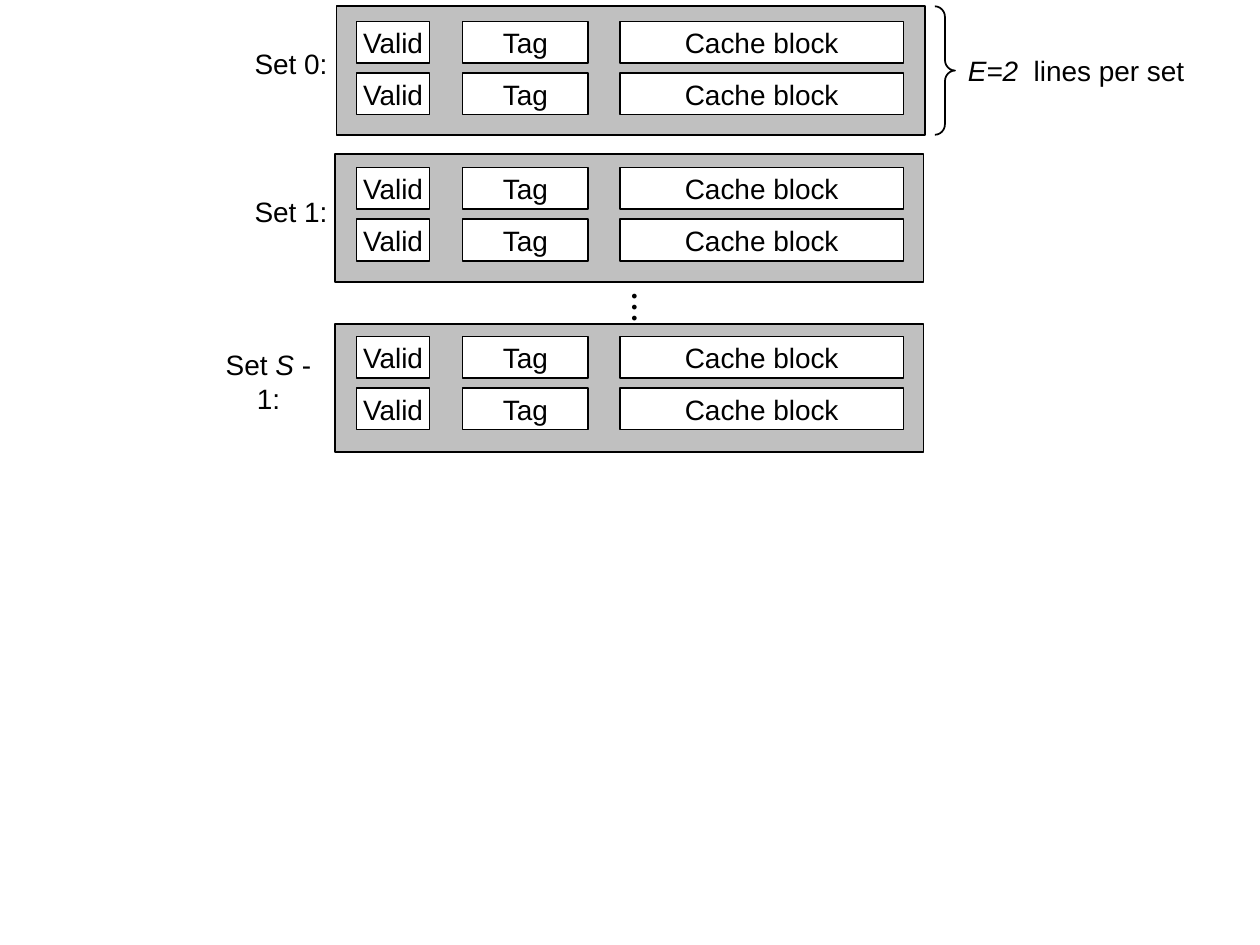
import pptx
import pptx.dml.color
import pptx.enum.shapes
import pptx.enum.text
import pptx.util

Inches = pptx.util.Inches
SHAPES = pptx.enum.shapes.MSO_SHAPE
BLACK = "000000"
WHITE = "FFFFFF"
GRAY = "C0C0C0"

SET_HEIGHT = 1.02
FIELD_HEIGHT = 0.33
LINE_PITCH = 0.41
LINES_PER_SET = 2
# Text, left and width of each field of a cache line
FIELDS = [("Valid", 2.83, 0.58), ("Tag", 3.67, 1), ("Cache block", 4.92, 2.25)]
# Left and top of the set, top of its first line, left and width of its label, label runs
SETS = [
    (2.67, 0.05, 0.17, 1.92, 0.78, [("Set 0:", False)]),
    (2.66, 1.22, 1.33, 1.92, 0.78, [("Set 1:", False)]),
    (2.66, 2.57, 2.67, 1.57, 1.12, [("Set ", False), ("S ", True), ("- 1:", False)]),
]


def color(value):
    return pptx.dml.color.RGBColor.from_string(value)


def write_text(shape, runs, size=16):
    """Centre the runs, given as (text, italic) pairs, in the shape."""
    frame = shape.text_frame
    frame.word_wrap = False
    frame.vertical_anchor = pptx.enum.text.MSO_ANCHOR.MIDDLE
    paragraph = frame.paragraphs[0]
    paragraph.alignment = pptx.enum.text.PP_ALIGN.CENTER
    for text, italic in runs:
        run = paragraph.add_run()
        run.text = text
        run.font.name = "Arial"
        run.font.size = pptx.util.Pt(size)
        run.font.italic = italic
        run.font.color.rgb = color(BLACK)


def add_outlined_shape(slide, kind, left, top, width, height, fill=None):
    shape = slide.shapes.add_shape(
        kind, Inches(left), Inches(top), Inches(width), Inches(height))
    shape.shadow.inherit = False
    if fill:
        shape.fill.solid()
        shape.fill.fore_color.rgb = color(fill)
    else:
        shape.fill.background()
    shape.line.color.rgb = color(BLACK)
    shape.line.width = pptx.util.Pt(1)
    return shape


def add_label(slide, left, top, width, runs):
    label = slide.shapes.add_textbox(
        Inches(left), Inches(top), Inches(width), Inches(0.37))
    write_text(label, runs)


def add_cache_set(slide, left, top, line_top, label_left, label_width, label_runs):
    add_outlined_shape(slide, SHAPES.RECTANGLE, left, top, 4.67, SET_HEIGHT, GRAY)
    add_label(slide, label_left, top + 0.27, label_width, label_runs)
    for line in range(LINES_PER_SET):
        for text, field_left, width in FIELDS:
            field = add_outlined_shape(
                slide, SHAPES.RECTANGLE, field_left, line_top + line * LINE_PITCH,
                width, FIELD_HEIGHT, WHITE)
            write_text(field, [(text, False)])


def add_vertical_dots(slide):
    dots = slide.shapes.add_textbox(
        Inches(4.67), Inches(2.23), Inches(0.75), Inches(0.33))
    write_text(dots, [("•\u00a0•\u00a0•", False)], size=10)
    frame = dots.text_frame
    frame.margin_left = frame.margin_right = Inches(0.05)
    frame.margin_top = frame.margin_bottom = Inches(0.1)
    frame._txBody.bodyPr.set("vert", "eaVert")


def add_brace(slide):
    brace = add_outlined_shape(
        slide, SHAPES.RIGHT_BRACE, 7.42, 0.05, 0.16, SET_HEIGHT)
    brace.adjustments[0] = 0.53


def main():
    presentation = pptx.Presentation()
    presentation.slide_width = Inches(10)
    presentation.slide_height = Inches(7.5)
    slide = presentation.slides.add_slide(presentation.slide_layouts[6])
    for cache_set in SETS:
        add_cache_set(slide, *cache_set)
    add_vertical_dots(slide)
    add_brace(slide)
    add_label(slide, 7.58, 0.37, 1.92, [("E=2", True), ("  lines per set", False)])
    presentation.save("out.pptx")


if __name__ == "__main__":
    main()
